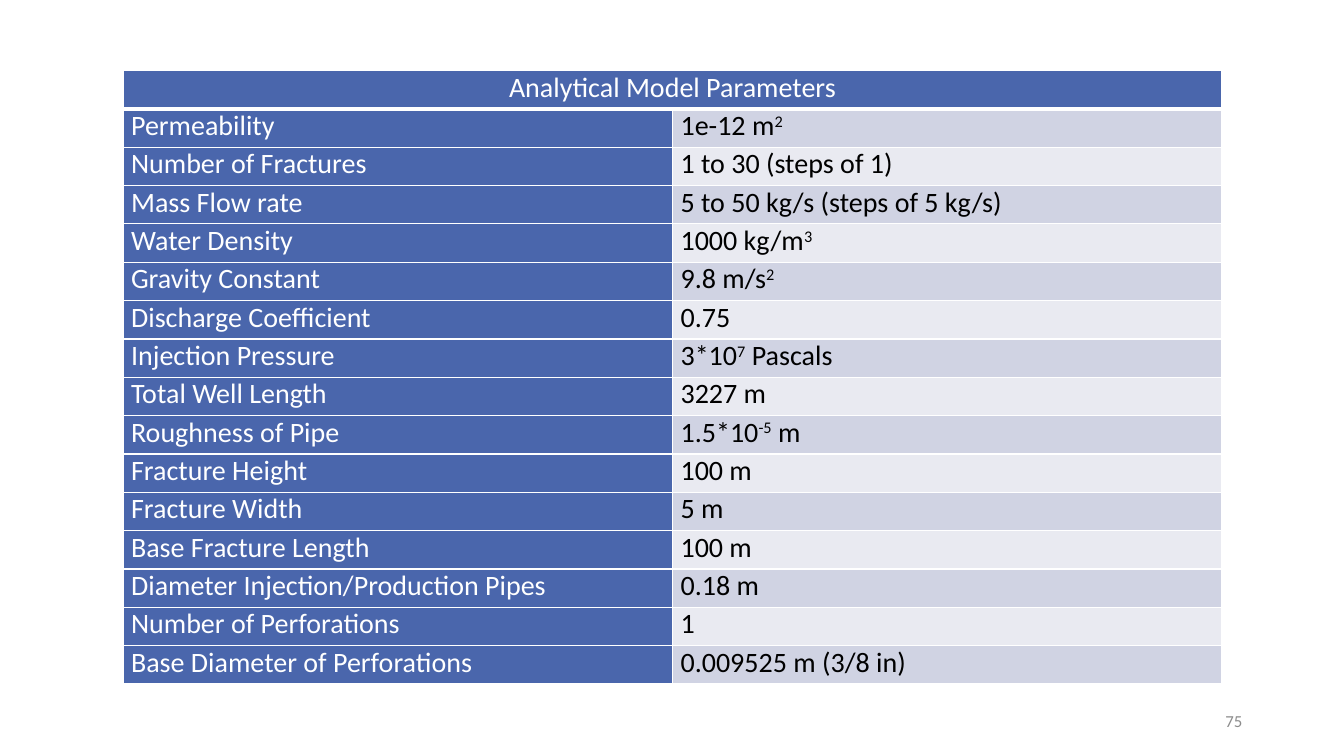
from lxml.etree import SubElement
from pptx import Presentation
from pptx.dml.color import RGBColor
from pptx.enum.text import MSO_ANCHOR, PP_ALIGN
from pptx.oxml.ns import qn
from pptx.util import Inches, Pt

WHITE = RGBColor(0xFF, 0xFF, 0xFF)
BLACK = RGBColor(0x00, 0x00, 0x00)
GRAY = RGBColor(0x8C, 0x8C, 0x8C)
BLUE = RGBColor(0x4A, 0x66, 0xAC)
BANDS = (RGBColor(0xD0, 0xD3, 0xE3), RGBColor(0xE9, 0xEA, 0xF1))

TITLE = "Analytical Model Parameters"
PARAMETERS = [
    ("Permeability", "1e-12 m^2^"),
    ("Number of Fractures", "1 to 30 (steps of 1)"),
    ("Mass Flow rate", "5 to 50 kg/s (steps of 5 kg/s)"),
    ("Water Density", "1000 kg/m^3^"),
    ("Gravity Constant", "9.8 m/s^2^"),
    ("Discharge Coefficient", "0.75"),
    ("Injection Pressure", "3*10^7^ Pascals"),
    ("Total Well Length", "3227 m"),
    ("Roughness of Pipe", "1.5*10^-5^ m"),
    ("Fracture Height", "100 m"),
    ("Fracture Width", "5 m"),
    ("Base Fracture Length", "100 m"),
    ("Diameter Injection/Production Pipes", "0.18 m"),
    ("Number of Perforations", "1"),
    ("Base Diameter of Perforations", "0.009525 m (3/8 in)"),
]


def set_values(target, values):
    for name, value in values.items():
        setattr(target, name, value)


def write_text(paragraph, text, size, color, alignment=PP_ALIGN.LEFT):
    paragraph.alignment = alignment
    for index, part in enumerate(text.split("^")):
        if not part:
            continue
        run = paragraph.add_run()
        run.text = part
        set_values(run.font, {"name": "Calibri", "size": Pt(size), "bold": False})
        run.font.color.rgb = color
        if index % 2:
            run.font._element.set("baseline", "30000")


def add_borders(cell, bottom_width):
    properties = cell._tc.get_or_add_tcPr()
    for side, width in (("L", 1), ("R", 1), ("T", 1), ("B", bottom_width)):
        line = SubElement(properties, qn(f"a:ln{side}"), w=str(Pt(width)))
        fill = SubElement(line, qn("a:solidFill"))
        SubElement(fill, qn("a:srgbClr"), val=str(WHITE))


def format_cell(cell, fill_color, bottom_width=1):
    set_values(cell, {
        "margin_left": Inches(0.08),
        "margin_right": Inches(0.08),
        "margin_top": 0,
        "margin_bottom": 0,
    })
    add_borders(cell, bottom_width)
    cell.fill.solid()
    cell.fill.fore_color.rgb = fill_color


def add_parameter_table(slide):
    frame = slide.shapes.add_table(
        len(PARAMETERS) + 1, 2, Inches(1.22), Inches(0.7), Inches(10.9), Inches(6.09)
    )
    table = frame.table
    set_values(table, {"first_row": False, "horz_banding": False})
    title_cell = table.cell(0, 0)
    title_cell.merge(table.cell(0, 1))
    for cell in table.rows[0].cells:
        format_cell(cell, BLUE, 3)
    write_text(title_cell.text_frame.paragraphs[0], TITLE, 20, WHITE, PP_ALIGN.CENTER)
    for row, texts in enumerate(PARAMETERS, start=1):
        styles = ((BLUE, WHITE), (BANDS[(row - 1) % 2], BLACK))
        for column, (text, (fill_color, text_color)) in enumerate(zip(texts, styles)):
            cell = table.cell(row, column)
            format_cell(cell, fill_color)
            write_text(cell.text_frame.paragraphs[0], text, 20, text_color)


def add_slide_number(slide, number):
    box = slide.shapes.add_textbox(Inches(9.42), Inches(6.95), Inches(3), Inches(0.4))
    set_values(box.text_frame, {"word_wrap": True, "vertical_anchor": MSO_ANCHOR.MIDDLE})
    write_text(box.text_frame.paragraphs[0], number, 12, GRAY, PP_ALIGN.RIGHT)


def main():
    presentation = Presentation()
    set_values(presentation, {"slide_width": Inches(13.33), "slide_height": Inches(7.5)})
    slide = presentation.slides.add_slide(presentation.slide_layouts[6])
    add_parameter_table(slide)
    add_slide_number(slide, "75")
    presentation.save("out.pptx")


if __name__ == "__main__":
    main()
